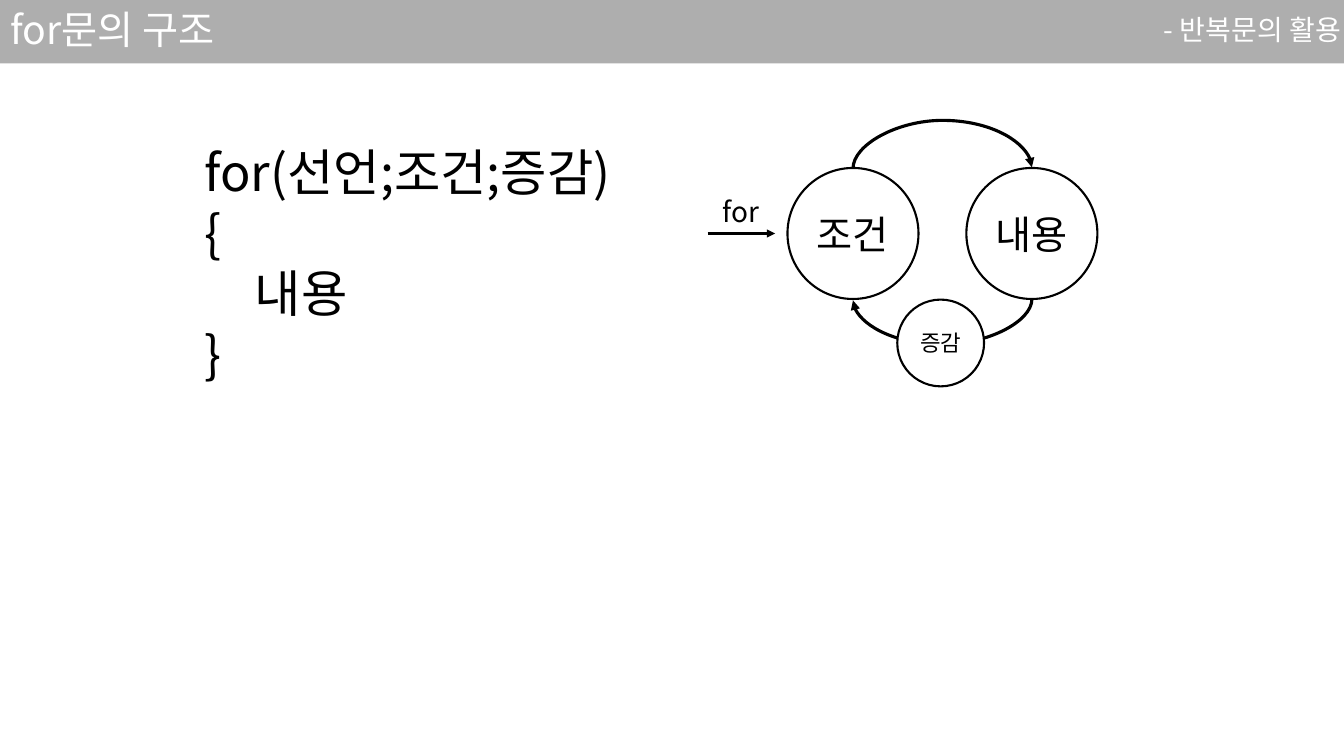
from pptx import Presentation
from pptx import util as u
from pptx.dml.color import RGBColor
from pptx.enum import shapes, text
from pptx.oxml.ns import qn
from lxml import etree

Pt = u.Pt
FONT = "Noto Sans CJK KR"
COLORS = {"band": "181717", "white": "FFFFFF", "black": "000000"}


def color(name):
    return RGBColor.from_string(COLORS[name])


def write(shape, lines, size, ink="black", align=text.PP_ALIGN.LEFT, spacing=None):
    frame = shape.text_frame
    frame.vertical_anchor = text.MSO_ANCHOR.MIDDLE
    frame.text = "\n".join(lines)
    for paragraph in frame.paragraphs:
        paragraph.alignment = align
        paragraph.line_spacing = spacing
        font = paragraph.font
        font.size = Pt(size)
        font.color.rgb = color(ink)
        font.name = FONT
        etree.SubElement(font._element, qn("a:ea"), typeface=FONT)
    return frame


def add_text(slide, box, lines, size, wrap=True, **style):
    textbox = slide.shapes.add_textbox(*map(Pt, box))
    frame = write(textbox, lines, size, **style)
    frame.word_wrap = wrap
    frame.auto_size = text.MSO_AUTO_SIZE.SHAPE_TO_FIT_TEXT


def add_circle(slide, left, top, diameter, label, size):
    circle = slide.shapes.add_shape(
        shapes.MSO_SHAPE.OVAL, Pt(left), Pt(top), Pt(diameter), Pt(diameter))
    circle.shadow.inherit = False
    circle.fill.solid()
    circle.fill.fore_color.rgb = color("white")
    circle.line.color.rgb = color("black")
    circle.line.width = Pt(1.5)
    write(circle, [label], size, align=text.PP_ALIGN.CENTER)


def add_arrow(slide, kind, begin, end, width):
    arrow = slide.shapes.add_connector(kind, *map(Pt, begin + end))
    arrow.line.color.rgb = color("black")
    arrow.line.width = Pt(width)
    etree.SubElement(arrow.line._get_or_add_ln(), qn("a:tailEnd"), type="triangle")
    etree.SubElement(arrow._element.spPr, qn("a:effectLst"))
    return arrow


def add_arc(slide, center, y, span, bulge, forward):
    start = (center - 0.5, y - span / 2)
    end = (center + 0.5, y + span / 2)
    if forward:
        start, end = end, start
    arc = add_arrow(slide, shapes.MSO_CONNECTOR.CURVE, start, end, 2.25)
    properties = arc._element.spPr
    properties.find(qn("a:xfrm")).set("rot", "5400000")
    guides = properties.find(qn("a:prstGeom")).get_or_add_avLst()
    etree.SubElement(guides, qn("a:gd"), name="adj1", fmla=f"val {round(bulge * 100000)}")


def add_header(slide, box, heading, topic):
    left, top, width, height = box
    band = slide.shapes.add_shape(shapes.MSO_SHAPE.RECTANGLE, *map(Pt, box))
    band.shadow.inherit = False
    band.line.fill.background()
    band.fill.solid()
    band.fill.fore_color.rgb = color("band")
    fill = band._element.spPr.find(qn("a:solidFill"))
    etree.SubElement(fill[0], qn("a:alpha"), val="35000")

    title = slide.shapes.title
    band._element.addnext(title._element)
    title.left, title.top = Pt(left), Pt(top + 3.6)
    title.width, title.height = Pt(529), Pt(38)
    frame = write(title, [heading], 28, ink="white", spacing=0.9)
    frame.auto_size = text.MSO_AUTO_SIZE.NONE
    add_text(slide, (left + width - 386, top + 8, 391, 29.5), [topic], 20,
             ink="white", align=text.PP_ALIGN.RIGHT, spacing=0.9)


def add_code(slide, box):
    add_text(slide, box, ["for(선언;조건;증감)", "{", "\t내용", "}"], 36)


def add_loop(slide, box):
    left, top, width, height = box
    diameter, small = 93.6, 62
    span = width - 57 - diameter
    first = left + 57
    center = first + (diameter + span) / 2
    bottom = top + diameter
    for index, label in enumerate(["조건", "내용"]):
        add_circle(slide, first + index * span, top, diameter, label, 28)
    add_arc(slide, center, top, span, 34.78, True)
    add_arc(slide, center, bottom + 0.5, span, 32.68, False)
    middle = top + diameter / 2
    add_arrow(slide, shapes.MSO_CONNECTOR.STRAIGHT,
              (left, middle), (left + 48.2, middle), 1.5)
    add_text(slide, (left + 3.5, middle - 31.5, 41, 31.5), ["for"], 20,
             wrap=False, align=text.PP_ALIGN.CENTER)
    add_circle(slide, center - small / 2 - 1.3, top + height - small, small, "증감", 16)


presentation = Presentation()
presentation.slide_width, presentation.slide_height = Pt(960), Pt(540)
slide = presentation.slides.add_slide(presentation.slide_layouts[5])
add_header(slide, (0, 0, 960, 45.2), "for문의 구조", "- 반복문의 활용")
add_code(slide, (139, 96.5, 310, 181.5))
add_loop(slide, (505.5, 120, 278.4, 156))
presentation.save("out.pptx")
